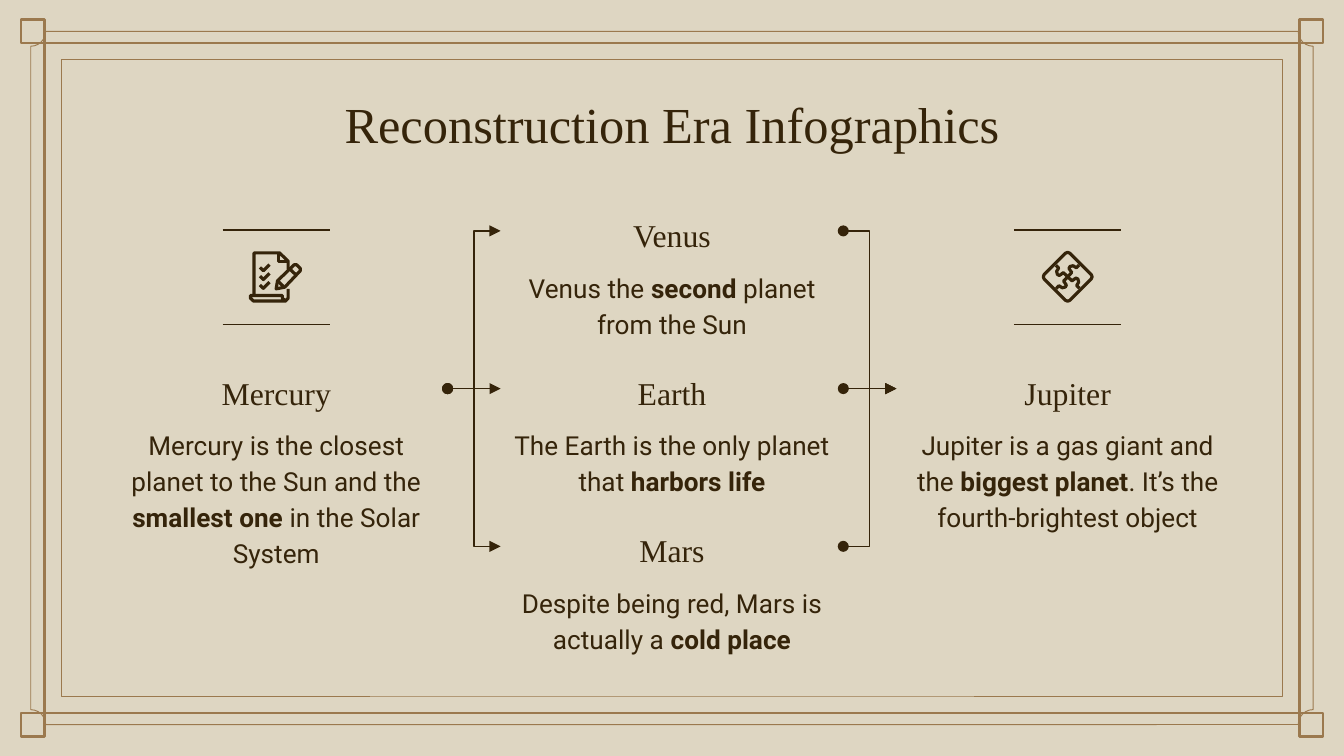
from dataclasses import dataclass
from typing import NamedTuple

from lxml import etree
from pptx import Presentation
from pptx.dml.color import RGBColor
from pptx.enum import shapes, text
from pptx.oxml.ns import qn
from pptx.util import Pt

Point = tuple[float, float]
Stroke = list[Point]


@dataclass(frozen=True)
class Theme:
    paper: RGBColor = RGBColor(0xDE, 0xD6, 0xC2)
    bronze: RGBColor = RGBColor(0x9B, 0x79, 0x4E)
    ink: RGBColor = RGBColor(0x35, 0x24, 0x0A)
    serif: str = "Times New Roman"
    sans: str = "Roboto"
    title: float = 27
    heading: float = 17
    body: float = 14
    bold_rule: float = 1.28
    fine_rule: float = 0.5
    link: float = 0.75
    icon: float = 1.7


class Box(NamedTuple):
    left: float
    top: float
    width: float
    height: float


class Planet(NamedTuple):
    name: str
    column: int
    row: int
    body: list[tuple[str, bool]]
    body_height: float = 50.4


THEME = Theme()
WIDTH, HEIGHT = 720, 405
COLUMN_LEFT, COLUMN_STEP, COLUMN_WIDTH = 56.2, 212, 183.6
ROW_TOP, ROW_STEP = 103.6, 84.5
LINK_TOP = 123.7
ICON_Y, ICON_RULES = 148.3, (123.3, 173.7)

PLANETS = [
    Planet("Venus", 1, 0, [("Venus the ", False), ("second ", True), ("planet from the Sun", False)]),
    Planet("Earth", 1, 1, [("The Earth is the only planet that ", False), ("harbors life", True)]),
    Planet("Mars", 1, 2, [("Despite being red, Mars is actually a ", False), ("cold place", True)]),
    Planet("Mercury", 0, 1, [("Mercury is the closest planet to the Sun and the ", False),
                             ("smallest one", True), (" in the Solar System", False)], 72),
    Planet("Jupiter", 2, 1, [("Jupiter is a gas giant and the ", False), ("biggest planet", True),
                             (". It’s the fourth-brightest object", False)], 72),
]


def quarter_turns(points: Stroke) -> list[Stroke]:
    """The points turned about the origin by 0, 90, 180 and 270 degrees."""
    turns = [points]
    for _ in range(3):
        turns.append([(-y, x) for x, y in turns[-1]])
    return turns


def checklist_strokes() -> list[Stroke]:
    pencil = [(0, 6.5), (0.7, 2.2), (9.6, -6.4), (11, -6.4), (12.9, -4.5), (12.9, -3.2), (4.6, 5.6), (0, 6.5)]
    page = [(-11.9, 10.1), (-11.9, -12.8), (1.8, -12.8), (6.4, -8.3), (6.4, -4)]
    scroll = [(6.4, 6.5), (6.4, 11.5), (5, 13), (-12.2, 13), (-13.8, 11.5), (-13.8, 10.1),
              (3.3, 10.1), (3.3, 11.5), (5, 13)]
    fold = [(1.2, -12.8), (1.2, -8.3), (6.4, -8.3)]
    bands = [[(7.3, -4.1), (10.7, -0.9)], [(1.2, 2.6), (3.9, 5.2)]]
    ticks = [[(-8.7, y), (-6.9, y + 1.8), (-3.6, y - 1.5)] for y in (-5, -0.3, 4.4)]
    return [page, scroll, fold, pencil, *bands, *ticks]


def puzzle_strokes() -> list[Stroke]:
    seam = [(-6.3, -6.1), (-4.8, -4.7), (-5.9, -2.9), (-5.5, -1.2), (-4.5, -0.7),
            (-3.4, -1.4), (-2.3, -2.2), (0, 0)]
    corners = quarter_turns([(-1.2, -12.6), (0, -13.1), (1.2, -12.6)])
    outline = [point for corner in corners for point in corner]
    return [outline + outline[:1], *quarter_turns(seam)]


def outline_shape(sp, color: RGBColor, weight: float) -> None:
    sp.shadow.inherit = False
    sp.fill.background()
    sp.line.color.rgb = color
    sp.line.width = Pt(weight)


def add_frame(s, kind, box: Box, weight: float):
    sp = s.shapes.add_shape(kind, *map(Pt, box))
    outline_shape(sp, THEME.bronze, weight)
    return sp


def add_border(s) -> None:
    rect = shapes.MSO_SHAPE.RECTANGLE
    edge, corner = 11.3, 12.5
    for inset, weight in ((edge + corner, THEME.bold_rule), (33, THEME.fine_rule)):
        add_frame(s, rect, Box(inset, inset - 0.9, WIDTH - 2 * inset, HEIGHT - 2 * inset + 1.8), weight)
    notched = Box(16.5, 16.8, 687, 371.4)
    sp = add_frame(s, shapes.MSO_SHAPE.PLAQUE, notched, THEME.fine_rule)
    sp.adjustments[0] = 8 / notched.height
    for x in (edge, WIDTH - edge - corner):
        for y in (edge - 0.8, HEIGHT - edge - corner + 0.8):
            add_frame(s, rect, Box(x, y, corner, corner), THEME.bold_rule)


def add_text(s, box: Box, runs: list[tuple[str, bool]], font: str, size: float,
             anchor=text.MSO_ANCHOR.TOP, spacing: float = 1.15) -> None:
    tf = s.shapes.add_textbox(*map(Pt, box)).text_frame
    frame_format = {"word_wrap": True, "vertical_anchor": anchor}
    frame_format |= {f"margin_{side}": Pt(7.2) for side in ("left", "top", "right", "bottom")}
    for name, value in frame_format.items():
        setattr(tf, name, value)
    p = tf.paragraphs[0]
    p.alignment, p.line_spacing = text.PP_ALIGN.CENTER, spacing
    for words, bold in runs:
        r = p.add_run()
        r.text = words
        for name, value in {"name": font, "size": Pt(size), "bold": bold}.items():
            setattr(r.font, name, value)
        r.font.color.rgb = THEME.ink


def add_planet(s, planet: Planet) -> None:
    left = COLUMN_LEFT + planet.column * COLUMN_STEP
    top = ROW_TOP + planet.row * ROW_STEP
    add_text(s, Box(left, top, COLUMN_WIDTH, 39.6), [(planet.name, False)],
             THEME.serif, THEME.heading, text.MSO_ANCHOR.BOTTOM)
    add_text(s, Box(left, top + 32.4, COLUMN_WIDTH, planet.body_height), planet.body,
             THEME.sans, THEME.body)


def add_line(s, start: Point, end: Point, arrow: bool = False) -> None:
    """A rule, or a dot-to-arrow link that bends where its ends differ in height."""
    straight = start[1] == end[1]
    kind = shapes.MSO_CONNECTOR.STRAIGHT if straight else shapes.MSO_CONNECTOR.ELBOW
    sp = s.shapes.add_connector(kind, *map(Pt, (*start, *end)))
    sp.line.color.rgb = THEME.ink
    sp.line.width = Pt(THEME.link)
    etree.SubElement(sp._element.spPr, qn("a:effectLst"))
    if arrow:
        ln = sp.line._get_or_add_ln()
        for tag, head in (("a:headEnd", "oval"), ("a:tailEnd", "triangle")):
            etree.SubElement(ln, qn(tag), type=head, w="med", len="med")


def add_links(s) -> None:
    levels = [LINK_TOP + row * ROW_STEP for row in range(3)]
    for gap in range(2):
        x1 = COLUMN_LEFT + gap * COLUMN_STEP + COLUMN_WIDTH
        x2 = COLUMN_LEFT + (gap + 1) * COLUMN_STEP
        for y in levels:
            y1, y2 = (levels[1], y) if gap == 0 else (y, levels[1])
            add_line(s, (x1, y1), (x2, y2), arrow=True)


def add_icon(s, column: int, strokes: list[Stroke]) -> None:
    x = COLUMN_LEFT + column * COLUMN_STEP + COLUMN_WIDTH / 2
    for y in ICON_RULES:
        add_line(s, (x - 28.8, y), (x + 28.8, y))
    placed = [[(Pt(x + dx), Pt(ICON_Y + dy)) for dx, dy in stroke] for stroke in strokes]
    builder = s.shapes.build_freeform(*placed[0][0])
    for first, *rest in placed:
        builder.move_to(*first)
        builder.add_line_segments(rest, close=False)
    outline_shape(builder.convert_to_shape(), THEME.ink, THEME.icon)


def main() -> None:
    prs = Presentation()
    prs.slide_width, prs.slide_height = Pt(WIDTH), Pt(HEIGHT)
    s = prs.slides.add_slide(prs.slide_layouts[6])
    s.background.fill.solid()
    s.background.fill.fore_color.rgb = THEME.paper
    add_border(s)
    add_text(s, Box(COLUMN_LEFT, 42.5, 607.6, 46.8), [("Reconstruction Era Infographics", False)],
             THEME.serif, THEME.title, text.MSO_ANCHOR.BOTTOM, spacing=1)
    for planet in PLANETS:
        add_planet(s, planet)
    add_links(s)
    add_icon(s, 0, checklist_strokes())
    add_icon(s, 2, puzzle_strokes())
    prs.save("out.pptx")


if __name__ == "__main__":
    main()
